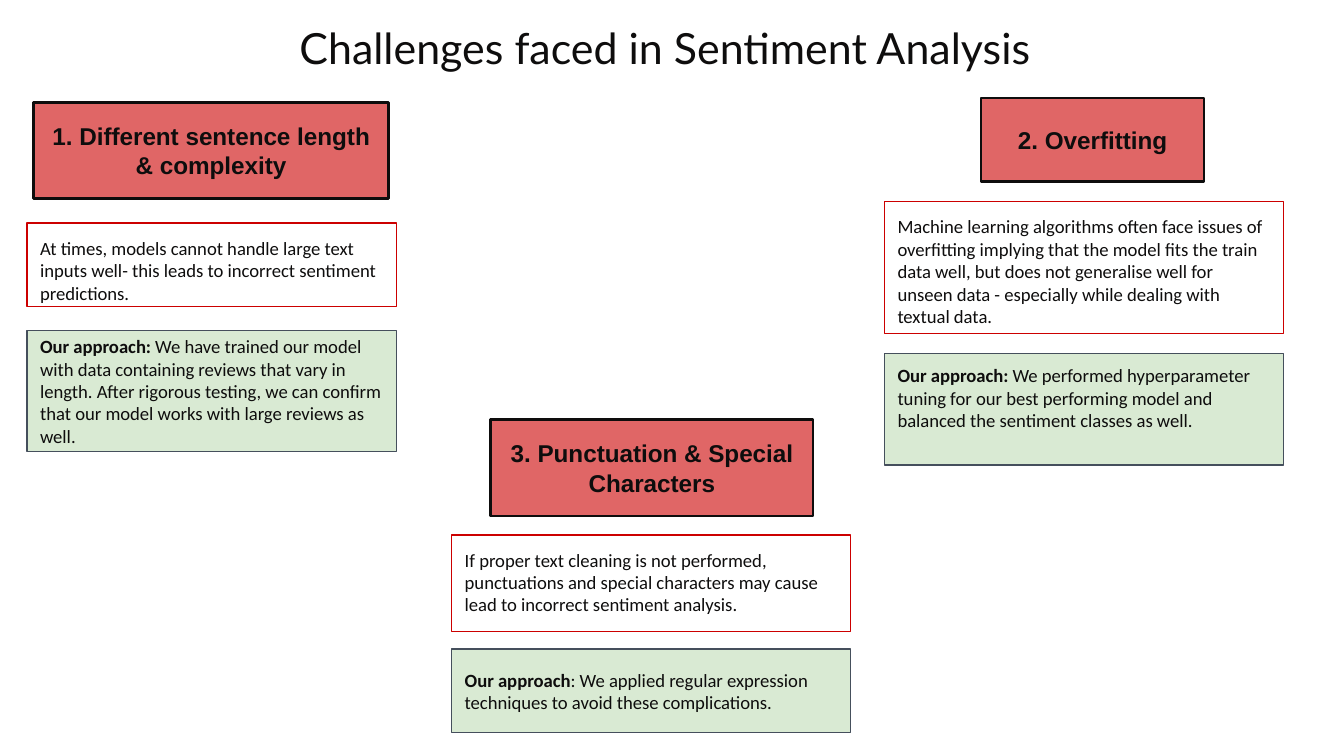
from dataclasses import dataclass

from pptx import Presentation
from pptx.dml.color import RGBColor
from pptx.enum.shapes import MSO_SHAPE
from pptx.enum.text import MSO_ANCHOR, PP_ALIGN
from pptx.util import Inches, Pt

COLORS = {
    "ink": "0E0D0D",
    "heading": "E06666",
    "problem_line": "CC0000",
    "approach": "D9EAD3",
    "approach_line": "454F5C",
}


@dataclass(frozen=True)
class Area:
    left: float
    top: float
    width: float
    height: float

    def lengths(self) -> list:
        return [Inches(n) for n in (self.left, self.top, self.width, self.height)]


@dataclass(frozen=True)
class BoxStyle:
    fill: str | None
    line: str
    line_width: float
    font: str
    size: float
    align: PP_ALIGN
    anchor: MSO_ANCHOR


@dataclass(frozen=True)
class Challenge:
    heading: str
    heading_area: Area
    problem: str
    problem_area: Area
    approach_label: str
    approach: str
    approach_area: Area
    approach_bottom: float = 0.1


HEADING = BoxStyle("heading", "ink", 1.5, "Arial", 13, PP_ALIGN.CENTER, MSO_ANCHOR.MIDDLE)
PROBLEM = BoxStyle(None, "problem_line", 0.75, "Calibri", 10, PP_ALIGN.LEFT, MSO_ANCHOR.TOP)
APPROACH = BoxStyle("approach", "approach_line", 0.75, "Calibri", 10, PP_ALIGN.LEFT, MSO_ANCHOR.MIDDLE)

CHALLENGES = [
    Challenge(
        "1. Different sentence length & complexity",
        Area(0.25, 0.76, 2.64, 0.72),
        "At times, models cannot handle large text inputs well- this leads to "
        "incorrect sentiment predictions.",
        Area(0.2, 1.66, 2.75, 0.62),
        "Our approach: ",
        "We have trained our model with data containing reviews that vary in length. "
        "After rigorous testing, we can confirm that our model works with large "
        "reviews as well.",
        Area(0.2, 2.46, 2.75, 0.9),
    ),
    Challenge(
        "2. Overfitting",
        Area(7.3, 0.73, 1.66, 0.62),
        "Machine learning algorithms often face issues of overfitting implying that "
        "the model fits the train data well, but does not generalise well for unseen "
        "data - especially while dealing with textual data.",
        Area(6.58, 1.5, 2.97, 0.98),
        "Our approach: ",
        "We performed hyperparameter tuning for our best performing model and "
        "balanced the sentiment classes as well.",
        Area(6.58, 2.63, 2.97, 0.83),
        approach_bottom=0.27,
    ),
    Challenge(
        "3. Punctuation & Special Characters",
        Area(3.65, 3.12, 2.4, 0.72),
        "If proper text cleaning is not performed, punctuations and special "
        "characters may cause lead to incorrect sentiment analysis.",
        Area(3.36, 3.98, 2.97, 0.72),
        "Our approach",
        ": We applied regular expression techniques to avoid these complications.",
        Area(3.36, 4.83, 2.97, 0.62),
    ),
]


def color(name: str) -> RGBColor:
    return RGBColor.from_string(COLORS[name])


def set_font(paragraph, name: str, size: float) -> None:
    paragraph.font.name = name
    paragraph.font.size = Pt(size)
    paragraph.font.color.rgb = color("ink")


def set_margins(frame, side: float, top: float, bottom: float) -> None:
    frame.margin_left = frame.margin_right = Inches(side)
    frame.margin_top = Inches(top)
    frame.margin_bottom = Inches(bottom)


def add_title(slide, text: str, area: Area) -> None:
    frame = slide.shapes.add_textbox(*area.lengths()).text_frame
    frame.word_wrap = True
    set_margins(frame, 0.07, 0.04, 0.04)
    paragraph = frame.paragraphs[0]
    paragraph.text = text
    paragraph.alignment = PP_ALIGN.CENTER
    set_font(paragraph, "Lato", 23)


def add_box(slide, area: Area, style: BoxStyle, bold: str = "", plain: str = "",
            bottom: float = 0.1) -> None:
    shape = slide.shapes.add_shape(MSO_SHAPE.RECTANGLE, *area.lengths())
    shape.shadow.inherit = False
    if style.fill is None:
        shape.fill.background()
    else:
        shape.fill.solid()
        shape.fill.fore_color.rgb = color(style.fill)
    shape.line.color.rgb = color(style.line)
    shape.line.width = Pt(style.line_width)

    frame = shape.text_frame
    frame.word_wrap = True
    frame.vertical_anchor = style.anchor
    set_margins(frame, 0.1, 0.1, bottom)
    paragraph = frame.paragraphs[0]
    paragraph.alignment = style.align
    set_font(paragraph, style.font, style.size)
    for text, is_bold in ((bold, True), (plain, False)):
        if text:
            run = paragraph.add_run()
            run.text = text
            run.font.bold = is_bold


def add_challenge(slide, challenge: Challenge) -> None:
    add_box(slide, challenge.heading_area, HEADING, bold=challenge.heading)
    add_box(slide, challenge.problem_area, PROBLEM, plain=challenge.problem)
    add_box(slide, challenge.approach_area, APPROACH, challenge.approach_label,
            challenge.approach, challenge.approach_bottom)


def main() -> None:
    presentation = Presentation()
    # Widescreen, 16:9
    presentation.slide_width = Inches(10)
    presentation.slide_height = Inches(10 * 9 / 16)
    slide = presentation.slides.add_slide(presentation.slide_layouts[6])

    # Title, then heading, problem and approach of each challenge
    add_title(slide, "Challenges faced in Sentiment Analysis", Area(0.34, 0.12, 9.22, 0.46))
    for challenge in CHALLENGES:
        add_challenge(slide, challenge)

    presentation.save("out.pptx")


if __name__ == "__main__":
    main()
